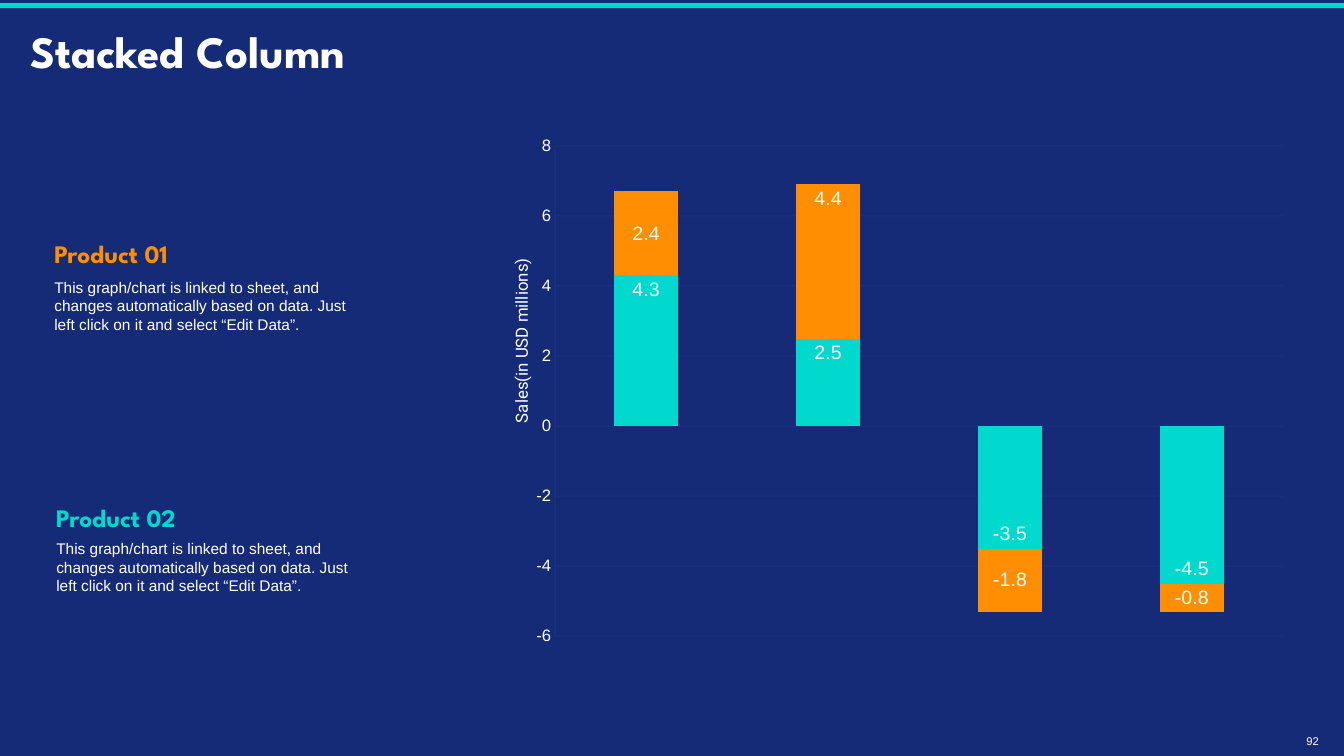
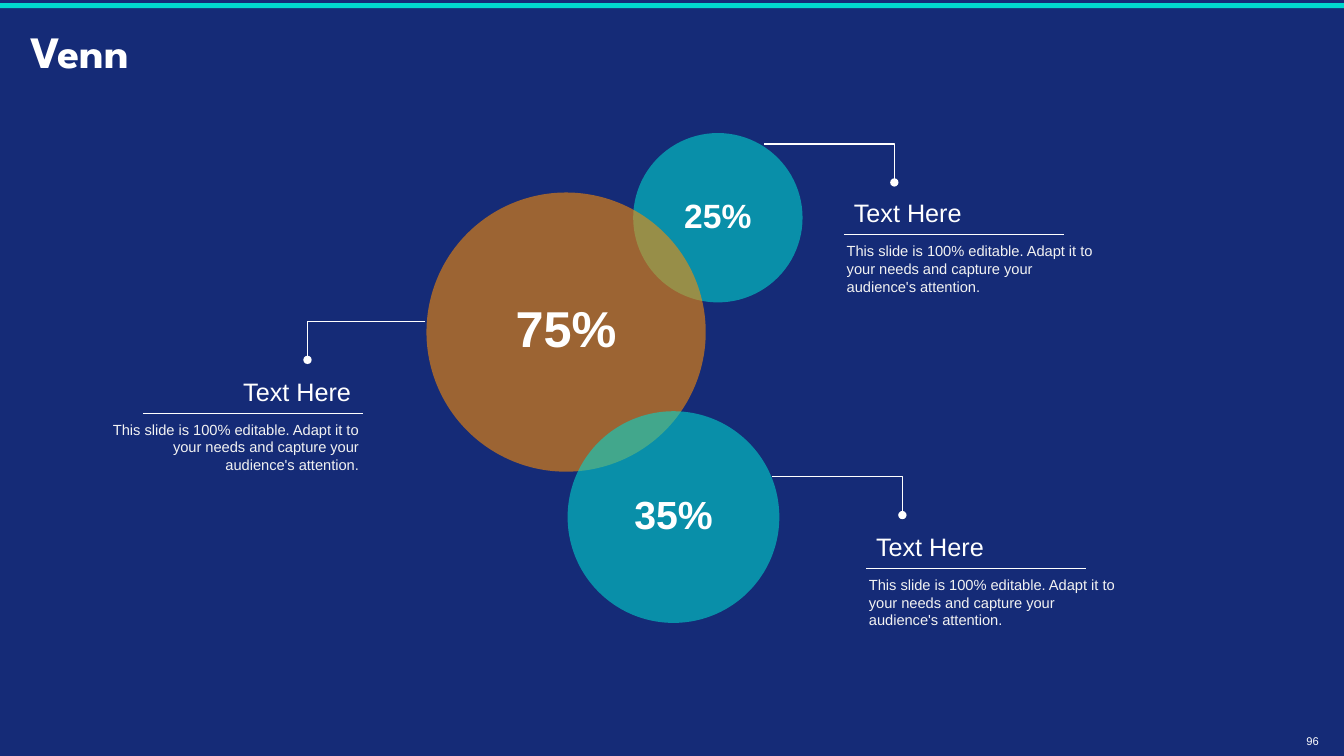
"""Build a stacked column slide and a Venn slide in one dark style."""
import pptx
import pptx.chart.data
import pptx.dml.color
import pptx.enum.chart
import pptx.enum.shapes
import pptx.enum.text
import pptx.oxml
import pptx.oxml.ns
import pptx.util

PX = 9144
WIDE, HIGH = 1333, 750
INK = {
    "navy": "152B77",
    "teal": "01D9CE",
    "orange": "FF8E02",
    "white": "FFFFFF",
    "pale": "F2F2F2",
    "grid": "C0CCF4",
}
HEAD = "League Spartan"
BODY = "Arial"
ALIGN = pptx.enum.text.PP_ALIGN
MID = pptx.enum.text.MSO_ANCHOR.MIDDLE
TOP = pptx.enum.text.MSO_ANCHOR.TOP
SHAPE = pptx.enum.shapes.MSO_SHAPE
NOTE = ("This graph/chart is linked to sheet, and changes automatically "
        "based on data. Just left click on it and select “Edit Data”.")
BLURB = ("This slide is 100% editable. Adapt it to your needs and capture "
         "your audience's attention.")


def px(*nums):
    return [pptx.util.Emu(num * PX) for num in nums]


def rgb(ink):
    return pptx.dml.color.RGBColor.from_string(INK[ink])


def fill(part, ink):
    part.fill.solid()
    part.fill.fore_color.rgb = rgb(ink)


def stroke(line, ink, width):
    line.color.rgb = rgb(ink)
    line.width = pptx.util.Pt(width)


def style(font, size, ink="white", face=BODY, bold=False):
    font.size = pptx.util.Pt(size)
    font.name = face
    font.bold = bold
    font.color.rgb = rgb(ink)


def child(node, tag, **attrs):
    kid = node.makeelement(pptx.oxml.ns.qn(tag), attrs)
    node.append(kid)
    return kid


def fade(node, cent):
    for tone in node.iter(pptx.oxml.ns.qn("a:srgbClr")):
        child(tone, "a:alpha", val=str(cent * 1000))


def write(frame, text, align=ALIGN.LEFT, anchor=TOP, **look):
    frame.word_wrap = True
    frame.vertical_anchor = anchor
    para = frame.paragraphs[0]
    para.alignment = align
    run = para.add_run()
    run.text = text
    style(run.font, **look)


def label(slide, box, text, **look):
    shape = slide.shapes.add_textbox(*px(*box))
    write(shape.text_frame, text, **look)
    return shape


def block(slide, kind, box, ink):
    shape = slide.shapes.add_shape(kind, *px(*box))
    shape.shadow.inherit = False
    fill(shape, ink)
    shape.line.fill.background()
    return shape


def base(deck, title, page):
    slide = deck.slides.add_slide(deck.slide_layouts[6])
    fill(slide.background, "navy")
    block(slide, SHAPE.RECTANGLE, (0, 3, WIDE, 5), "teal")
    head = label(slide, (20, 10, 1293, 88), title, anchor=MID,
                 size=32, face=HEAD, bold=True)
    head.text_frame.paragraphs[0].line_spacing = 0.9
    foot = label(slide, (1282, 728, 40, 14), page, align=ALIGN.CENTER,
                 anchor=MID, size=8)
    frame = foot.text_frame
    frame.margin_top = frame.margin_bottom = 0
    return slide


def place(node, **sizes):
    for old in node.findall(pptx.oxml.ns.qn("c:layout")):
        node.remove(old)
    frame = node.makeelement(pptx.oxml.ns.qn("c:layout"), {})
    grid = child(frame, "c:manualLayout")
    for tag, val in sizes.items():
        child(grid, "c:" + tag, val=str(val))
    node.insert(0, frame)


def graph(slide):
    enum = pptx.enum.chart
    data = pptx.chart.data.CategoryChartData()
    data.categories = ["1", "2", "3", "4"]
    data.add_series("Series 1", (4.3, 2.5, -3.5, -4.5))
    data.add_series("Series 2", (2.4, 4.4, -1.8, -0.8))
    chart = slide.shapes.add_chart(
        enum.XL_CHART_TYPE.COLUMN_STACKED, *px(532, 136, 741, 504), data).chart
    style(chart.font, 14)
    chart.has_legend = False
    chart.has_title = False
    chart.category_axis.visible = False

    axis = chart.value_axis
    axis.minimum_scale, axis.maximum_scale, axis.major_unit = -6, 8, 2
    axis.major_tick_mark = enum.XL_TICK_MARK.NONE
    stroke(axis.format.line, "white", 0.75)
    stroke(axis.major_gridlines.format.line, "grid", 0.75)
    fade(axis._element, 4)
    style(axis.tick_labels.font, 12)

    plot = chart.plots[0]
    plot.gap_width, plot.overlap = 182, 100
    plot.vary_by_categories = False
    spots = enum.XL_LABEL_POSITION
    looks = (("teal", spots.INSIDE_END), ("orange", spots.CENTER))
    for series, (ink, spot) in zip(plot.series, looks):
        fill(series.format, ink)
        series.invert_if_negative = False
        tags = series.data_labels
        tags.show_value = True
        tags.position = spot
        style(tags.font, 14)

    tag = plot.series[1].points[1].data_label
    style(tag.font, 14)
    tag.position = spots.INSIDE_END
    place(chart._chartSpace.xpath(".//c:plotArea")[0],
          layoutTarget="inner", xMode="edge", yMode="edge",
          x=0.02, y=0.01, w=0.98, h=0.98)


def disc(slide, x, y, size, ink, text, points):
    shape = block(slide, SHAPE.OVAL, (x, y, size, size), ink)
    fade(shape._element.spPr, 58)
    frame = shape.text_frame
    frame.margin_top, frame.margin_bottom = px(0, size // 30)
    write(frame, text, align=ALIGN.CENTER, anchor=MID, size=points, bold=True)


def elbow(slide, x, y, run):
    route = slide.shapes.build_freeform(x, y, scale=PX)
    route.add_line_segments([(x + run, y), (x + run, y + 38)], close=False)
    shape = route.convert_to_shape()
    shape.shadow.inherit = False
    shape.fill.background()
    stroke(shape.line, "white", 1)
    child(shape.line._get_or_add_ln(), "a:tailEnd", type="oval")


def callout(slide, x, y, right=False):
    wide, body = 218, 274
    align = ALIGN.RIGHT if right else ALIGN.LEFT
    left = x + wide + 6 - body if right else x - 7
    label(slide, (left, y + 2, body, 63), BLURB, align=align, anchor=MID,
          size=10.5, ink="pale")
    label(slide, (x - 2 if right else x, y - 42, wide, 42), "Text Here",
          align=align, size=18)
    kind = pptx.enum.shapes.MSO_CONNECTOR.STRAIGHT
    rule = slide.shapes.add_connector(kind, *px(x, y, x + wide, y))
    stroke(rule.line, "white", 0.5)
    child(rule._element.spPr, "a:effectLst")


def columns(deck):
    slide = base(deck, "Stacked Column", "92")
    for x, y, gap, ink, name in (
            (44, 232, 39, "orange", "Product 01"),
            (46, 493, 37, "teal", "Product 02")):
        label(slide, (x, y + gap, 318, 66), NOTE, size=11)
        label(slide, (x, y, 166, 40), name, size=18, ink=ink,
              face=HEAD, bold=True)
    graph(slide)
    side = label(slide, (391, 323, 252, 30), "Sales(in USD millions)",
                 align=ALIGN.CENTER, anchor=MID, size=12, face="Roboto")
    side.rotation = 270


def venn(deck):
    slide = base(deck, "Venn", "96")
    disc(slide, 628, 132, 168, "teal", "25%", 24)
    disc(slide, 423, 191, 277, "orange", "75%", 36)
    disc(slide, 563, 408, 210, "teal", "35%", 28)
    elbow(slide, 758, 143, 129)
    elbow(slide, 422, 319, -117)
    elbow(slide, 766, 473, 129)
    callout(slide, 837, 233)
    callout(slide, 859, 564)
    callout(slide, 142, 410, right=True)


def main():
    deck = pptx.Presentation()
    deck.slide_width, deck.slide_height = px(WIDE, HIGH)
    columns(deck)
    venn(deck)
    deck.save("out.pptx")


if __name__ == "__main__":
    main()
